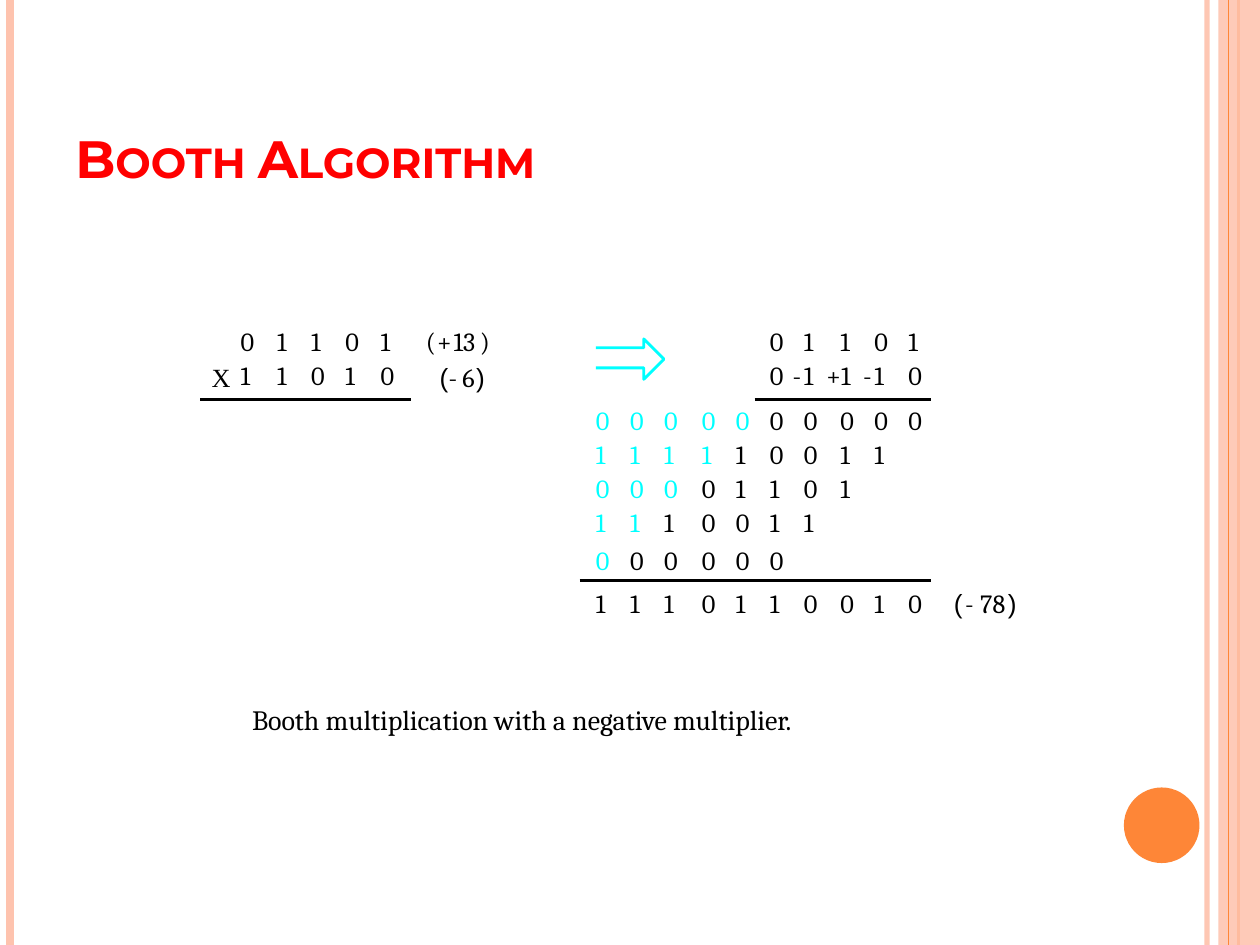
from lxml import etree
from pptx import Presentation
from pptx import util as u
from pptx.dml.color import RGBColor
from pptx.enum import shapes, text
from pptx.oxml.ns import qn

PX = 9144
COLORS = {"black": "000000", "cyan": "00FFFF", "red": "FF0000",
          "orange": "FE8637", "peach": "FEC3AE"}

prs = Presentation()
prs.slide_width, prs.slide_height = 1000 * PX, 750 * PX
s = prs.slides.add_slide(prs.slide_layouts[6])


def add_text(value, x, y, w, h=25, size=15, font="Cambria", color="black"):
    sp = s.shapes.add_textbox(x * PX, y * PX, w * PX, h * PX)
    tf = sp.text_frame
    tf.margin_left = tf.margin_top = tf.margin_right = tf.margin_bottom = 0
    tf.word_wrap = False
    tf.auto_size = text.MSO_AUTO_SIZE.SHAPE_TO_FIT_TEXT
    tf.text = value
    r = tf.paragraphs[0].runs[0]
    r.font.size, r.font.name = u.Pt(size), font
    r.font.color.rgb = RGBColor.from_string(COLORS[color])
    return sp


def add_line(x1, y1, x2, y2, color="black", width=1.63):
    line = s.shapes.add_connector(shapes.MSO_CONNECTOR.STRAIGHT,
                                  x1 * PX, y1 * PX, x2 * PX, y2 * PX)
    line.line.color.rgb = RGBColor.from_string(COLORS[color])
    line.line.width = u.Pt(width)
    etree.SubElement(line._element.spPr, qn("a:effectLst"))
    return line


edge = add_line(958, 0, 958, 750, "peach", 3)
add_line(8, 0, 8, 750, "peach", 4.5)
add_line(983, 0, 983, 750, "orange", 1.5)
band = s.shapes.add_shape(shapes.MSO_SHAPE.RECTANGLE, 967 * PX, 0, 33 * PX, 750 * PX)
add_line(975, 0, 975, 750, "orange", 0.75)
dot = s.shapes.add_shape(shapes.MSO_SHAPE.OVAL, 892 * PX, 625 * PX, 60 * PX, 60 * PX)
for sp, color in ((band, "peach"), (dot, "orange")):
    sp.shadow.inherit = False
    sp.fill.solid()
    sp.fill.fore_color.rgb = RGBColor.from_string(COLORS[color])
    sp.line.fill.background()
for sp, alpha in ((edge, 93), (band, 87)):
    clr = next(sp._element.spPr.iter(qn("a:srgbClr")))
    etree.SubElement(clr, qn("a:alpha")).set("val", str(alpha * 1000))

title = add_text("Booth Algorithm", 50, 30, 817, 125, 30, "Montserrat", "red")
tf = title.text_frame
tf.auto_size = text.MSO_AUTO_SIZE.NONE
tf.word_wrap = True
tf.vertical_anchor = text.MSO_ANCHOR.BOTTOM
tf.margin_left = tf.margin_right = 10 * PX
tf.margin_top = tf.margin_bottom = 5 * PX
r = tf.paragraphs[0].runs[0]
r.font.bold = True
r.font._element.set("cap", "small")

add_text("Booth multiplication with a negative multiplier.", 200, 558, 451, 27, 16)

left_cols = [191, 220, 247, 274, 302]
right_cols = [473, 500, 527, 557, 584, 611, 638, 667, 694, 721]
digit_rows = [
    (left_cols, 258, "01101", 0),
    (left_cols, 285, "11010", 0),
    (right_cols[5:], 258, "01101", 0),
    (right_cols, 321, "0000000000", 5),
    (right_cols, 348, "111110011", 4),
    (right_cols, 375, "00001101", 3),
    (right_cols, 402, "1110011", 2),
    (right_cols, 432, "000000", 1),
    (right_cols, 466, "1110110010", 0),
]
for cols, y, digits, extended in digit_rows:
    for i, (x, digit) in enumerate(zip(cols, digits)):
        add_text(digit, x, y, 12, color="cyan" if i < extended else "black")

recoded = [("0", 611, 12), ("-", 629, 7), ("1", 638, 12), ("+1", 656, 24),
           ("-", 685, 7), ("1", 694, 12), ("0", 721, 12)]
for value, x, w in recoded:
    add_text(value, x, 285, w)

labels = [
    (258, "Cambria", [("(", 338, 7), ("+", 347, 12), ("13", 360, 23), (")", 381, 7)]),
    (287, "Arial", [("(", 349, 7), ("-", 356, 7), ("6", 367, 12), (")", 378, 7)]),
    (466, "Arial", [("(", 757, 7), ("-", 766, 7), ("78", 778, 23), (")", 800, 7)]),
]
for y, bracket_font, parts in labels:
    for value, x, w in parts:
        add_text(value, x, y, w, font=bracket_font if value in "()" else "Cambria")
add_text("X", 168, 287, 15, font="Times New Roman")

for x1, x2, y in ((159, 326, 317), (599, 739, 317), (460, 739, 461)):
    add_line(x1, y, x2, y)

fb = s.shapes.build_freeform(473, 276, scale=PX)
fb.add_line_segments([(511, 276), (511, 269), (527, 285), (511, 301),
                      (511, 292), (473, 292)], close=False)
arrow = fb.convert_to_shape()
arrow.shadow.inherit = False
arrow.fill.background()
arrow.line.color.rgb = RGBColor.from_string(COLORS["cyan"])
arrow.line.width = u.Pt(1.63)

prs.save("out.pptx")
